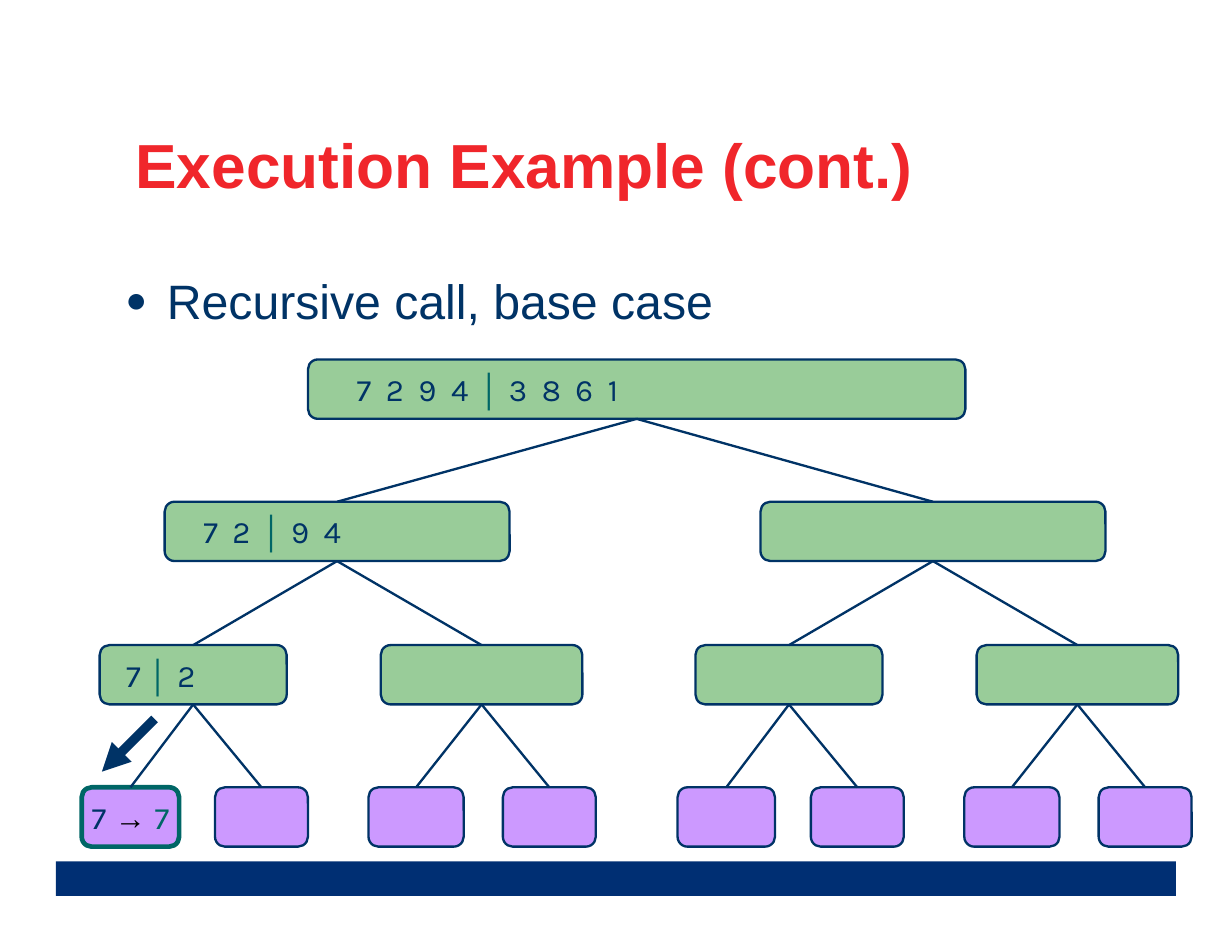
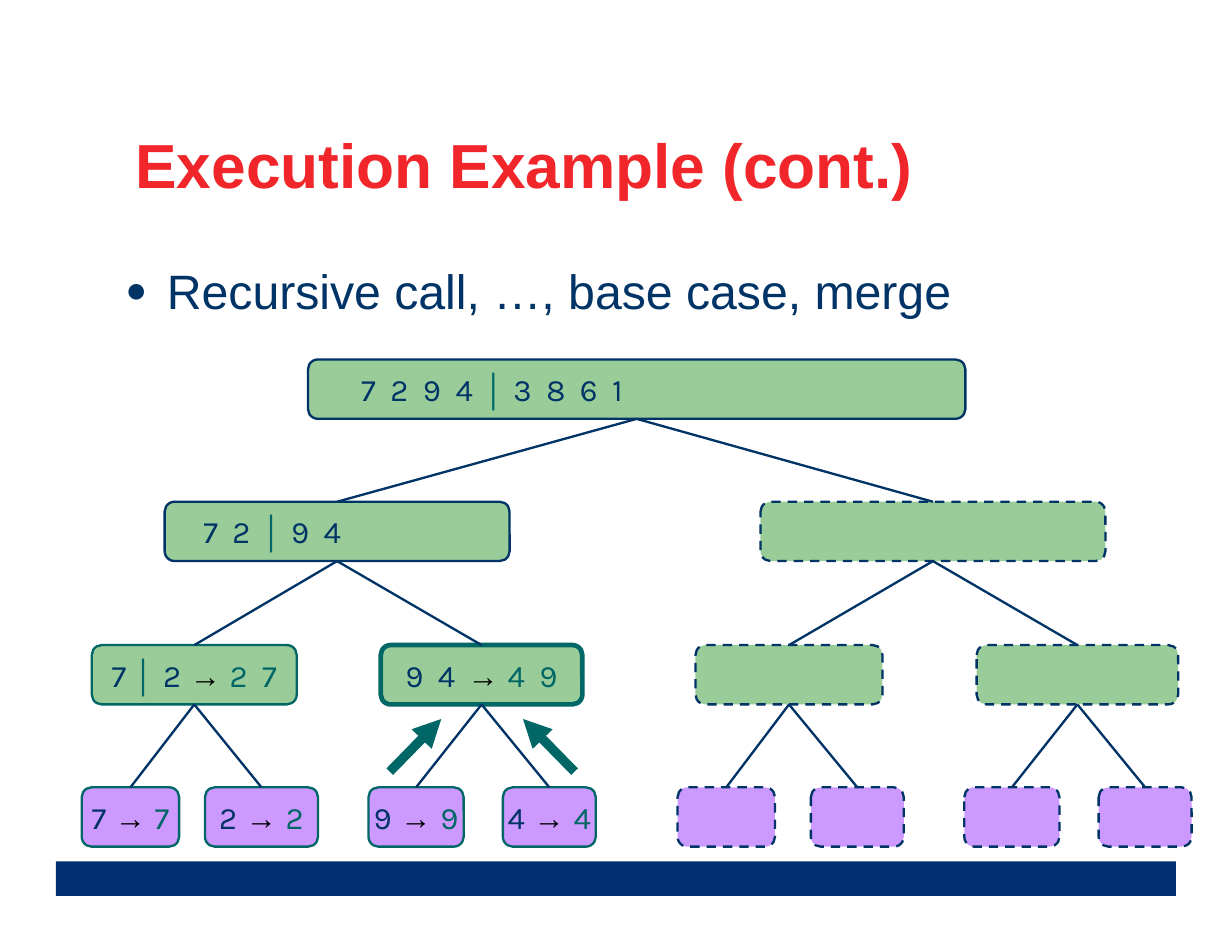
from lxml.etree import SubElement
from pptx import Presentation
from pptx.dml.color import RGBColor
from pptx.enum.dml import MSO_LINE
from pptx.enum.shapes import MSO_CONNECTOR, MSO_SHAPE
from pptx.enum.text import MSO_ANCHOR, PP_ALIGN
from pptx.oxml.ns import qn
from pptx.util import Inches, Pt

# Shared colours
NAVY, TEAL, RED, BAND = "003366", "006666", "F0262B", "002F73"
GREEN, LILAC, BLACK = "99CC99", "CC99FF", "000000"
color = RGBColor.from_string

# Tree in level order: (left, width) of the left half; the right half is shifted
SHIFT, HIGH = 5.32, 0.53
TOPS = [3.21, 4.48, 5.76, 7.03]
HALF = [
    [(1.47, 3.08)],
    [(0.89, 1.67), (3.4, 1.8)],
    [(0.73, 0.87), (1.92, 0.83), (3.29, 0.85), (4.49, 0.83)],
]
TREE = [(2.75, TOPS[0], 5.87)]
for top, row in zip(TOPS[1:], HALF):
    for move in (0, SHIFT):
        TREE += [(left + move, top, wide) for left, wide in row]

# What differs: labels are (text, left inset), with None for centred text
SLIDES = [
    {
        "point": "Recursive call, base case", "top": 2.36,
        "labels": {0: ("7 2 9 4 │ 3 8 6 1", 0.41), 1: ("7 2 │ 9 4", 0.32),
                   3: ("7 │ 2", 0.21), 7: ("7 → 7", None)},
        "wide": {}, "focus": 7, "empty": MSO_LINE.SOLID,
        "arrows": [(1.38, 6.42, 0.91, 6.89, NAVY)],
    },
    {
        "point": "Recursive call, …, base case, merge", "top": 2.27,
        "labels": {0: ("7 2 9 4 │ 3 8 6 1", 0.45), 1: ("7 2 │ 9 4", 0.32),
                   3: ("7 │ 2 → 2 7", None), 4: ("9 4 → 4 9", None),
                   7: ("7 → 7", None), 8: ("2 → 2", None),
                   9: ("9 → 9", None), 10: ("4 → 4", None)},
        "wide": {3: (0.82, 1.83), 8: (1.83, 1.01)}, "focus": 4, "empty": MSO_LINE.DASH,
        "arrows": [(3.48, 6.89, 3.94, 6.42, TEAL), (5.13, 6.89, 4.67, 6.42, TEAL)],
    },
]


def add_text(slide, text, box, size, hue, bold=False):
    frame = slide.shapes.add_textbox(*map(Inches, box)).text_frame
    frame.word_wrap = True
    frame.margin_left = frame.margin_right = Inches(0.11)
    frame.margin_top = frame.margin_bottom = Inches(0.06)
    para = frame.paragraphs[0]
    para.text = text
    para.font.name, para.font.size, para.font.bold = "Arial", Pt(size), bold
    para.font.color.rgb = color(hue)
    return frame


def add_line(slide, ends, hue, weight):
    line = slide.shapes.add_connector(MSO_CONNECTOR.STRAIGHT, *map(Inches, ends))
    line.line.color.rgb = color(hue)
    line.line.width = Pt(weight)
    SubElement(line._element.spPr, qn("a:effectLst"))
    return line


deck = Presentation()
deck.slide_width, deck.slide_height = Inches(11), Inches(8.5)

for data in SLIDES:
    slide = deck.slides.add_slide(deck.slide_layouts[6])

    # Bottom band and title
    band = slide.shapes.add_shape(
        MSO_SHAPE.RECTANGLE, Inches(0.5), Inches(7.69), Inches(10), Inches(0.31))
    band.shadow.inherit = False
    band.fill.solid()
    band.fill.fore_color.rgb = color(BAND)
    band.line.fill.background()
    title = add_text(slide, "Execution Example (cont.)", (1.1, 1.13, 9.62, 0.73), 40, RED, True)
    title.vertical_anchor = MSO_ANCHOR.BOTTOM
    title.paragraphs[0].line_spacing = 0.9

    # Bullet point
    point = add_text(slide, data["point"], (1.01, data["top"], 9.35, 0.64), 31, NAVY)
    para = point.paragraphs[0]
    para.space_before = Pt(7.8)
    props = para._p.get_or_add_pPr()
    props.set("marL", str(Inches(0.37)))
    props.set("indent", str(-Inches(0.37)))
    font = props.find(qn("a:defRPr"))
    hue = SubElement(props, qn("a:buClr"))
    SubElement(hue, qn("a:srgbClr"), val=NAVY)
    SubElement(props, qn("a:buSzPct"), val="75000")
    SubElement(props, qn("a:buFont"), typeface="Arial")
    SubElement(props, qn("a:buChar"), char="●")
    props.append(font)

    # Tree boxes
    boxes = []
    for spot, (left, top, wide) in enumerate(TREE):
        left, wide = data["wide"].get(spot, (left, wide))
        text, inset = data["labels"].get(spot, ("", None))
        box = slide.shapes.add_shape(
            MSO_SHAPE.ROUNDED_RECTANGLE, Inches(left), Inches(top), Inches(wide), Inches(HIGH))
        boxes.append(box)
        box.shadow.inherit = False
        box.fill.solid()
        box.fill.fore_color.rgb = color(GREEN if spot < 7 else LILAC)
        box.line.color.rgb = color(TEAL if "→" in text else NAVY)
        box.line.width = Pt(3 if spot == data["focus"] else 1.5)
        if not text:
            box.line.dash_style = data["empty"]
            continue

        # Label: input in navy, merged result in teal
        frame = box.text_frame
        frame.word_wrap = True
        frame.vertical_anchor = MSO_ANCHOR.MIDDLE
        frame.margin_left, frame.margin_right = Inches(inset or 0), 0
        para = frame.paragraphs[0]
        para.alignment = PP_ALIGN.CENTER if inset is None else PP_ALIGN.LEFT
        para.font.size = Pt(20)
        ink = NAVY
        for bit in text.replace("│", "|│|").replace("→", "|→|").split("|"):
            mark = bit in "│→"
            run = para.add_run()
            run.text = f" {bit} " if mark else bit.strip()
            run.font.name = "Arial" if mark else "Karla"
            run.font.bold = mark
            run.font.color.rgb = color({"│": TEAL, "→": BLACK}.get(bit, ink))
            if bit == "→":
                ink = TEAL
            if not mark and len(bit.strip()) > 1:
                run._r.get_or_add_rPr().set("spc", "230")

    # Branches from each parent to its child
    for spot in range(1, len(boxes)):
        branch = add_line(slide, (0, 0, 1, 1), NAVY, 1.5)
        branch.begin_connect(boxes[(spot - 1) // 2], 2)
        branch.end_connect(boxes[spot], 0)

    # Step arrows
    for *ends, hue in data["arrows"]:
        arrow = add_line(slide, ends, hue, 6)
        SubElement(arrow.line._get_or_add_ln(), qn("a:tailEnd"), type="triangle")

deck.save("out.pptx")
